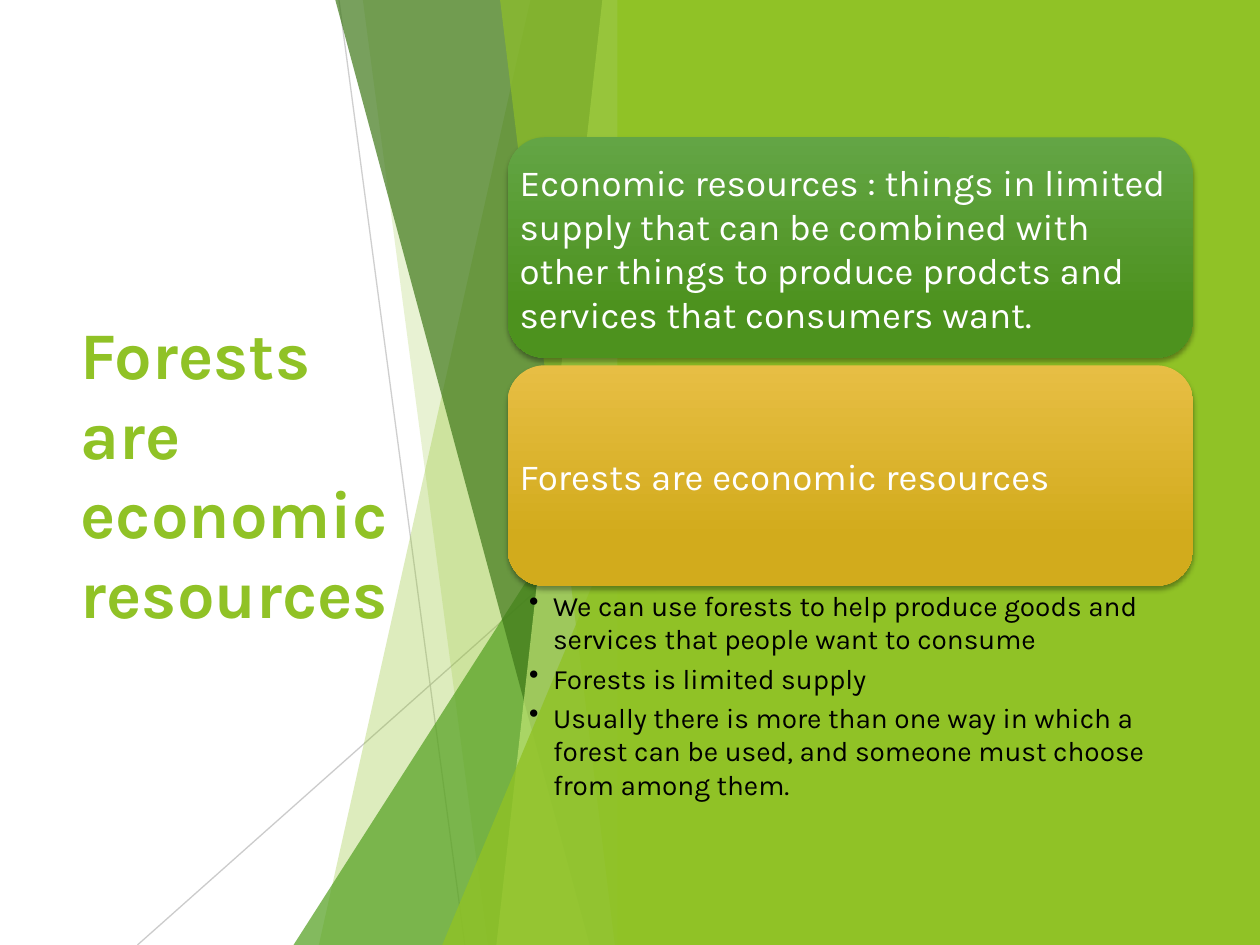
from collections import namedtuple

from lxml import etree
from pptx import Presentation
from pptx.dml.color import RGBColor
from pptx.enum.shapes import MSO_CONNECTOR, MSO_SHAPE
from pptx.enum.text import MSO_ANCHOR, PP_ALIGN
from pptx.oxml.ns import qn
from pptx.util import Inches, Pt

RECTANGLE = MSO_SHAPE.RECTANGLE
ROUNDED = MSO_SHAPE.ROUNDED_RECTANGLE
TRIANGLE = MSO_SHAPE.ISOSCELES_TRIANGLE
STRAIGHT = MSO_CONNECTOR.STRAIGHT
TOP, MIDDLE = MSO_ANCHOR.TOP, MSO_ANCHOR.MIDDLE
LEFT = PP_ALIGN.LEFT

WHITE = RGBColor(0xFF, 0xFF, 0xFF)
BLACK = RGBColor(0x00, 0x00, 0x00)
LIME = RGBColor(0x90, 0xC2, 0x26)
GREEN = RGBColor(0x54, 0xA0, 0x21)
FOREST = RGBColor(0x3F, 0x78, 0x19)
PALE = RGBColor(0xC0, 0xE4, 0x74)
GRAY = RGBColor(0xBF, 0xBF, 0xBF)
GREEN_CARD = RGBColor(0x63, 0xA5, 0x45), RGBColor(0x4D, 0x92, 0x1E)
GOLD_CARD = RGBColor(0xE7, 0xBE, 0x44), RGBColor(0xD2, 0xAB, 0x1C)

FONT = "Karla"
WIDTH, HEIGHT = Inches(10), Inches(7.5)
Box = namedtuple("Box", "left top width height")


def slide_box(left, top, width, height):
    """Box from percentages of the slide's size."""
    return Box(int(WIDTH * left / 100), int(HEIGHT * top / 100),
               int(WIDTH * width / 100), int(HEIGHT * height / 100))


def point(box, across, down):
    """Point at percentages of a box."""
    return (int(box.left + box.width * across / 100),
            int(box.top + box.height * down / 100))


def set_alpha(fill_parent, percent):
    color = next(fill_parent.iter(qn("a:srgbClr")))
    etree.SubElement(color, qn("a:alpha"), val=str(percent * 1000))


def paint(shape, color, alpha=100):
    shape.shadow.inherit = False
    shape.line.fill.background()
    shape.fill.solid()
    shape.fill.fore_color.rgb = color
    if alpha < 100:
        set_alpha(shape.fill._xPr.find(qn("a:solidFill")), alpha)


def write(shape, texts, size, color, bold=False, anchor=MIDDLE,
          margins=(0.1, 0.05, 0.1, 0.05), gap=0, bullet=None):
    frame = shape.text_frame
    frame.word_wrap = True
    frame.vertical_anchor = anchor
    (frame.margin_left, frame.margin_top,
     frame.margin_right, frame.margin_bottom) = map(Inches, margins)
    for index, text in enumerate(texts):
        para = frame.paragraphs[0] if index == 0 else frame.add_paragraph()
        para.alignment = LEFT
        para.space_after = Pt(gap)
        if bullet:
            props = para._p.get_or_add_pPr()
            indent = Inches(0.19)
            props.set("marL", str(indent))
            props.set("indent", str(-indent))
            etree.SubElement(props, qn("a:buChar"), char=bullet)
        span = para.add_run()
        span.text = text
        span.font.name = FONT
        span.font.size = Pt(size)
        span.font.bold = bold
        span.font.color.rgb = color


def add_ray(page, start, end, alpha):
    ray = page.shapes.add_connector(STRAIGHT, *start, *end)
    ray.line.color.rgb = GRAY
    ray.line.width = Pt(0.75)
    set_alpha(ray.line._ln, alpha)
    etree.SubElement(ray._element.spPr, qn("a:effectLst"))


def add_ribbon(page, box, top, bottom, color, alpha):
    """Full-height band with a slanted left edge."""
    builder = page.shapes.build_freeform(*point(box, top, 0))
    builder.add_line_segments([point(box, 100, 0), point(box, 100, 100),
                               point(box, bottom, 100)])
    paint(builder.convert_to_shape(), color, alpha)


def add_wedge(page, box, across, down, color, alpha):
    """Right triangle standing in the lower right corner of the box."""
    left, top = point(box, across, down)
    right, bottom = point(box, 100, 100)
    wedge = page.shapes.add_shape(TRIANGLE, left, top, right - left, bottom - top)
    wedge.adjustments[0] = 1
    paint(wedge, color, alpha)


def add_facets(page, box):
    add_ray(page, point(box, 13.5, 0), point(box, 50.9, 100), 75)
    add_ray(page, point(box, 100, 53.7), point(box, -46.4, 100), 80)
    add_ribbon(page, box, 70.4, 7.5, LIME, 30)
    add_ribbon(page, box, 20.6, 57.7, LIME, 20)
    add_wedge(page, box, 0, 44.4, GREEN, 72)
    add_ribbon(page, box, 12.4, 88, FOREST, 70)
    add_ribbon(page, box, 91.8, 60.3, PALE, 70)
    add_ribbon(page, box, 61.4, 95.5, LIME, 65)
    add_wedge(page, box, 44.2, 52.4, LIME, 80)


def add_title(page, box, text):
    title = page.shapes.title
    title.left, title.top, title.width, title.height = box
    title.fill.solid()
    title.fill.fore_color.rgb = WHITE
    write(title, [text], 38, LIME, bold=True, margins=(0.1, 0.05, 0.2, 0.05))


def add_panel(page, box):
    paint(page.shapes.add_shape(RECTANGLE, *box), LIME)


def add_card(page, box, colors, text):
    card = page.shapes.add_shape(ROUNDED, *box)
    card.line.fill.background()
    card.fill.gradient()
    card.fill.gradient_angle = 270
    for stop, color, position in zip(card.fill.gradient_stops, colors, (0, 0.78)):
        stop.color.rgb = color
        stop.position = position
    # Soft shadow below the card
    card.shadow.inherit = False
    effects = card._element.spPr.find(qn("a:effectLst"))
    shadow = etree.SubElement(effects, qn("a:outerShdw"), blurRad=str(Pt(3)),
                              dist=str(Pt(2)), dir="5400000", rotWithShape="0")
    etree.SubElement(shadow, qn("a:srgbClr"), val=str(BLACK))
    set_alpha(shadow, 35)
    write(card, [text], 21, WHITE, margins=(0.01,) * 4)


def add_bullets(page, box, texts):
    bullets = page.shapes.add_textbox(*box)
    write(bullets, texts, 16, BLACK, anchor=TOP, gap=3.2, bullet="•",
          margins=(0.17, 0.03, 0.16, 0.03))


def main():
    deck = Presentation()
    deck.slide_width, deck.slide_height = WIDTH, HEIGHT
    page = deck.slides.add_slide(deck.slide_layouts[5])

    # Left side: title and faceted backdrop
    add_title(page, slide_box(5.4, 20.13, 29.1, 59.73),
              "Forests are economic resources")
    add_facets(page, slide_box(23.3, 0, 26.7, 100))
    add_panel(page, slide_box(49, 0, 51, 100))

    # Right side: cards stacked at an equal pitch, then the bullets
    cards = [
        (GREEN_CARD, "Economic resources : things in limited supply that can be "
                     "combined with other things to produce prodcts and services "
                     "that consumers want."),
        (GOLD_CARD, "Forests are economic resources"),
    ]
    for row, (colors, text) in enumerate(cards):
        add_card(page, slide_box(40.3, 14.53 + 24.13 * row, 54.4, 23.33),
                 colors, text)
    add_bullets(page, slide_box(40.3, 61.87, 54.4, 23.73), [
        "We can use forests to help produce goods and services that people "
        "want to consume",
        "Forests is limited supply",
        "Usually there is more than one way in which a forest can be used, and "
        "someone must choose from among them.",
    ])
    deck.save("out.pptx")


if __name__ == "__main__":
    main()
